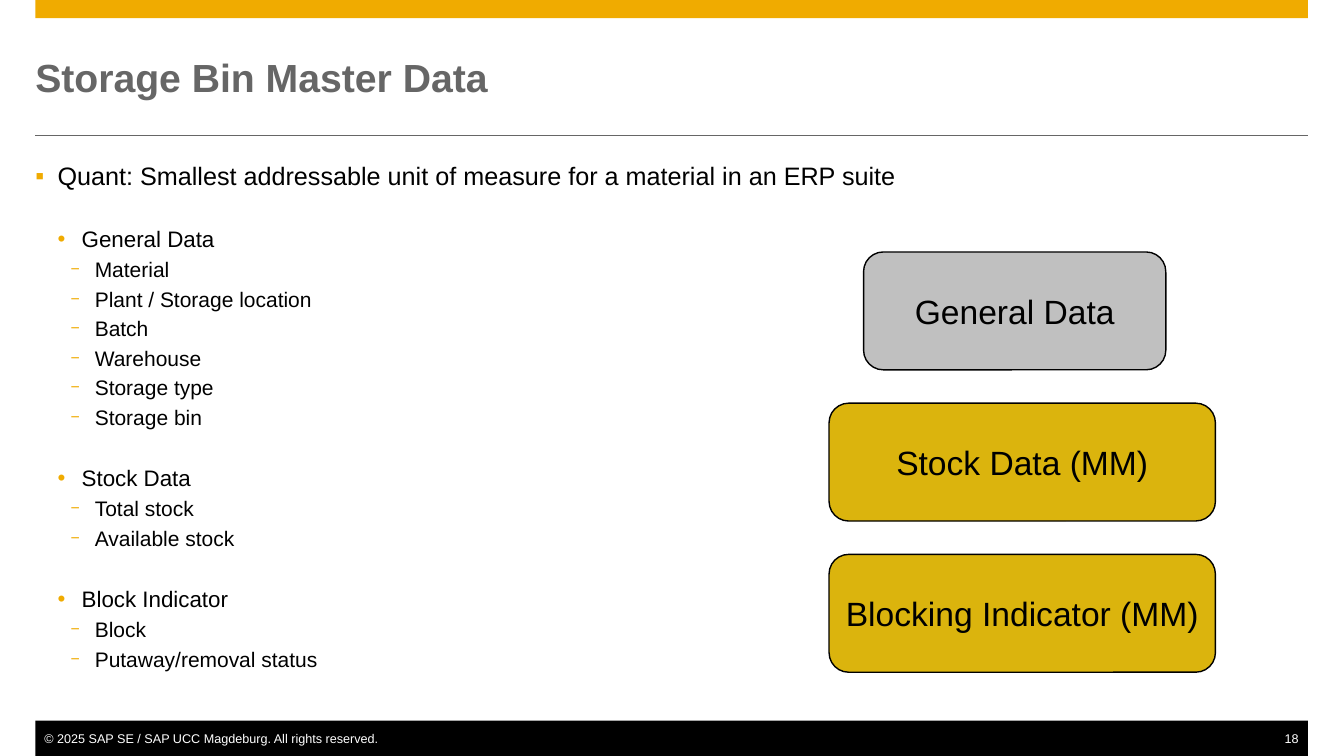
import pptx
import pptx.util
import pptx.dml.color
import pptx.enum.shapes
import pptx.enum.text
import pptx.oxml
import pptx.oxml.ns
from pptx.util import Cm, Pt
from pptx.dml.color import RGBColor
from pptx.enum.shapes import MSO_CONNECTOR, MSO_SHAPE
from pptx.enum.text import MSO_ANCHOR, MSO_AUTO_SIZE, PP_ALIGN

AMBER = RGBColor(0xF0, 0xAB, 0x00)
GOLD = RGBColor(0xDB, 0xB4, 0x0D)
SILVER = RGBColor(0xC0, 0xC0, 0xC0)
GRAY = RGBColor(0x66, 0x66, 0x66)
BLACK = RGBColor(0, 0, 0)
WHITE = RGBColor(0xFF, 0xFF, 0xFF)
LEFT, WIDTH = Cm(0.89), Cm(32.08)


def set_font(p, size, color, bold=False):
    for r in p.runs:
        r.font.name = "Arial"
        r.font.size = Pt(size)
        r.font.bold = bold
        r.font.color.rgb = color


def set_frame(tf, wrap, anchor, left=0, right=0):
    tf.word_wrap = wrap
    tf.auto_size = MSO_AUTO_SIZE.NONE
    tf.vertical_anchor = anchor
    tf.margin_left, tf.margin_right = Cm(left), Cm(right)
    tf.margin_top = tf.margin_bottom = 0


prs = pptx.Presentation()
prs.slide_width, prs.slide_height = Cm(33.88), Cm(19.05)
s = prs.slides.add_slide(prs.slide_layouts[1])

for top, height, color in [(0, 0.46, AMBER), (18.16, 0.89, BLACK)]:
    bar = s.shapes.add_shape(MSO_SHAPE.RECTANGLE, LEFT, Cm(top), WIDTH, Cm(height))
    bar.shadow.inherit = False
    bar.fill.solid()
    bar.fill.fore_color.rgb = color
    bar.line.fill.background()

rule = s.shapes.add_connector(MSO_CONNECTOR.STRAIGHT, LEFT, Cm(3.42), LEFT + WIDTH, Cm(3.42))
rule.line.color.rgb = GRAY
rule.line.width = Pt(0.5)
rule._element.spPr.append(pptx.oxml.parse_xml(
    f"<a:effectLst {pptx.oxml.ns.nsdecls('a')}/>"))

footers = [
    ("© 2025 SAP SE / SAP UCC Magdeburg. All rights reserved.", 0.89, 8.76, PP_ALIGN.LEFT),
    ("18", 32.33, 0.64, PP_ALIGN.RIGHT),
]
for text, left, width, align in footers:
    sp = s.shapes.add_textbox(Cm(left), Cm(18.41), Cm(width), Cm(0.38))
    tf = sp.text_frame
    set_frame(tf, False, MSO_ANCHOR.TOP, 0.23, 0.23)
    tf.text = text
    tf.paragraphs[0].alignment = align
    set_font(tf.paragraphs[0], 9, WHITE)

title = s.shapes.title
title.left, title.top, title.width, title.height = LEFT, Cm(0.89), WIDTH, Cm(2.11)
set_frame(title.text_frame, True, MSO_ANCHOR.MIDDLE)
title.text_frame.text = "Storage Bin Master Data"
title.text_frame.paragraphs[0].alignment = PP_ALIGN.LEFT
set_font(title.text_frame.paragraphs[0], 28, GRAY, True)

body = s.placeholders[1]
body.left, body.top, body.width, body.height = LEFT, Cm(4.04), WIDTH, Cm(12.19)
tf = body.text_frame
set_frame(tf, True, MSO_ANCHOR.TOP)

levels = [
    ("▪", 100, 0.56, 0.56, 18, 0),
    ("•", 100, 1.17, 0.61, 16, 25),
    ("−", 75, 1.5, 0.61, 15, 3.1),
]
outline = [
    (0, "Quant: Smallest addressable unit of measure for a material in an ERP suite"),
    (1, "General Data"),
    (2, "Material"),
    (2, "Plant / Storage location"),
    (2, "Batch"),
    (2, "Warehouse"),
    (2, "Storage type"),
    (2, "Storage bin"),
    (1, "Stock Data"),
    (2, "Total stock"),
    (2, "Available stock"),
    (1, "Block Indicator"),
    (2, "Block"),
    (2, "Putaway/removal status"),
]
tf.text = "\n".join(text for level, text in outline)
for p, (level, text) in zip(tf.paragraphs, outline):
    char, percent, indent, hang, size, before = levels[level]
    p.level = level
    pPr = p._p.get_or_add_pPr()
    pPr.set("marL", str(Cm(indent)))
    pPr.set("indent", str(-Cm(hang)))
    for tag in (f'buClr {{}}><a:srgbClr val="{AMBER}"/></a:buClr>',
                f'buSzPct {{}} val="{percent * 1000}"/>',
                '''buFont {} typeface="Arial"/>''',
                f'buChar {{}} char="{char}"/>'):
        pPr.append(pptx.oxml.parse_xml("<a:" + tag.format(pptx.oxml.ns.nsdecls("a"))))
    p.space_before = Pt(before)
    set_font(p, size, BLACK)

boxes = [
    ("General Data", 21.77, 7.62, SILVER),
    ("Stock Data (MM)", 20.9, 9.74, GOLD),
    ("Blocking Indicator (MM)", 20.9, 9.74, GOLD),
]
for i, (text, left, width, color) in enumerate(boxes):
    sp = s.shapes.add_shape(MSO_SHAPE.ROUNDED_RECTANGLE, Cm(left), Cm(6.35 + 3.81 * i),
                            Cm(width), Cm(2.97))
    sp.shadow.inherit = False
    sp.fill.solid()
    sp.fill.fore_color.rgb = color
    sp.line.color.rgb = BLACK
    sp.line.width = Pt(1)
    set_frame(sp.text_frame, False, MSO_ANCHOR.MIDDLE, 0.25, 0.25)
    sp.text_frame.text = text
    sp.text_frame.paragraphs[0].alignment = PP_ALIGN.CENTER
    set_font(sp.text_frame.paragraphs[0], 24, BLACK)

prs.save("out.pptx")
